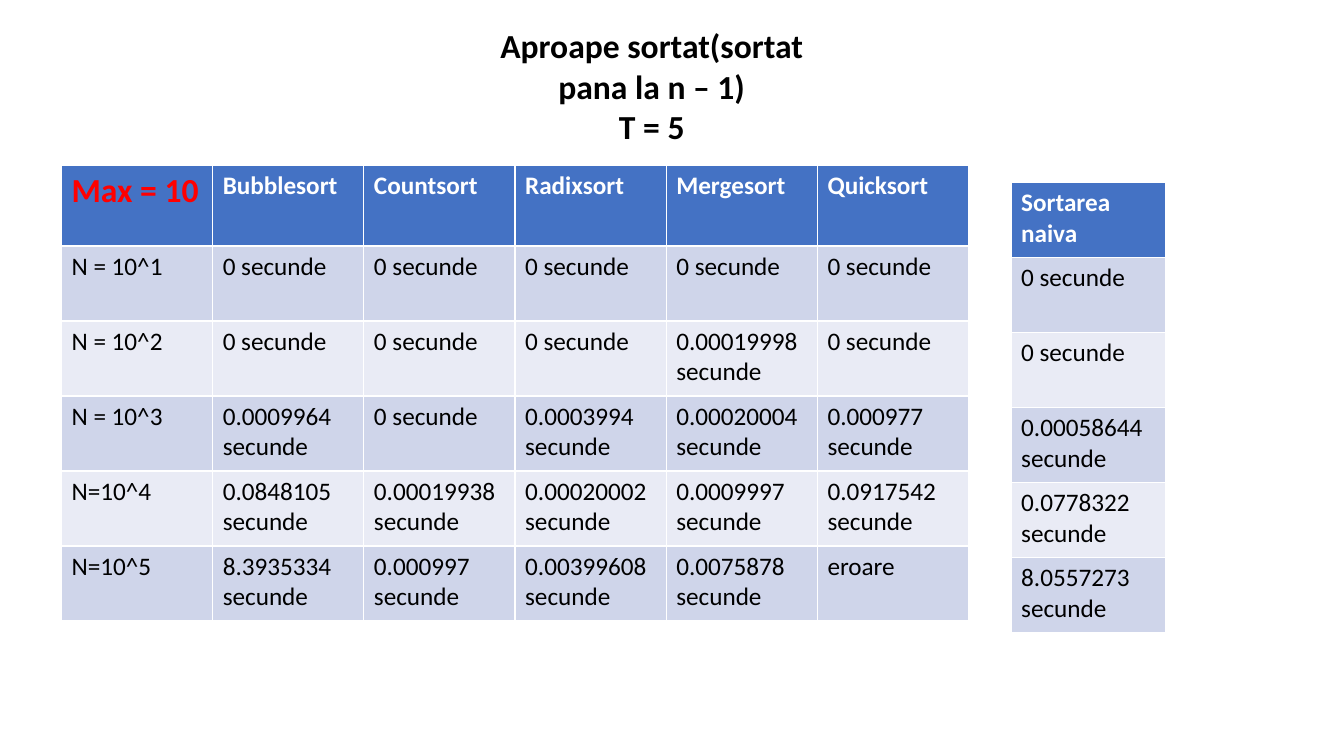
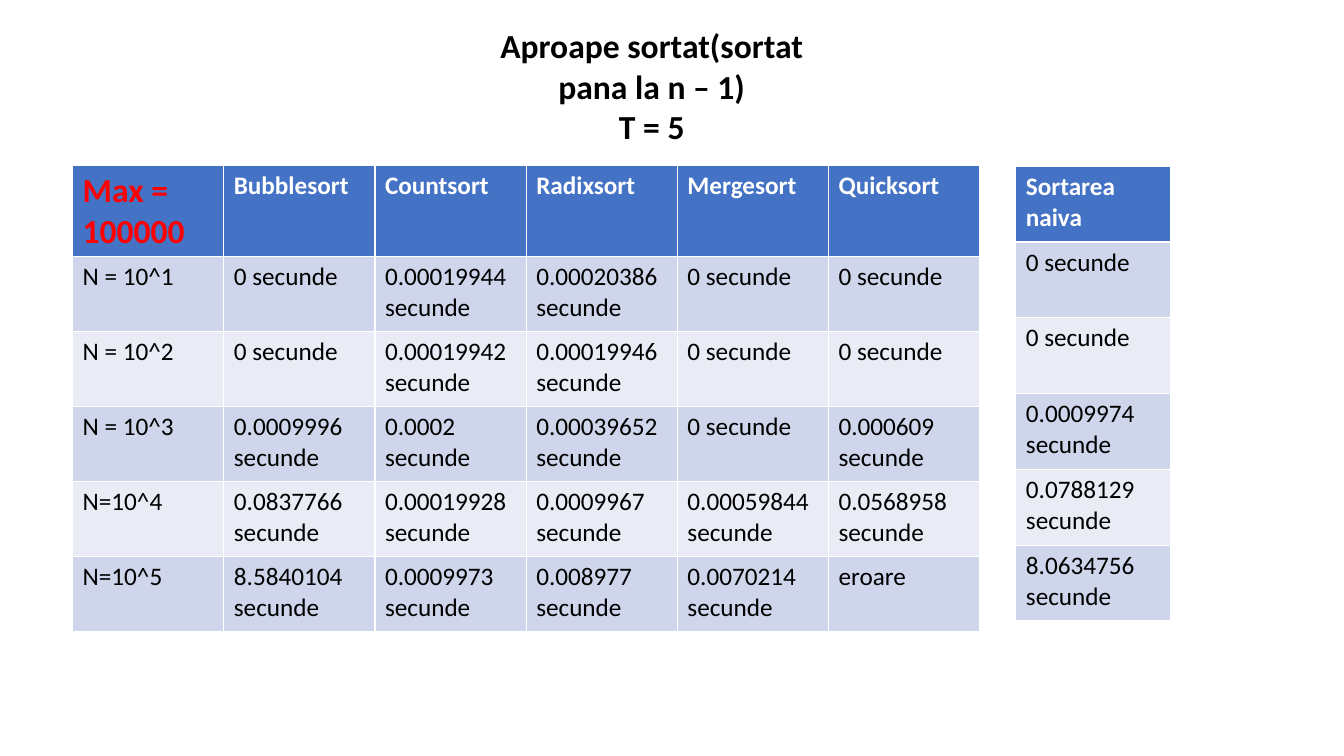
"""Build two slides comparing the running times of sorting algorithms."""
from pptx import Presentation
from pptx.dml.color import RGBColor
from pptx.enum.text import MSO_AUTO_SIZE, PP_ALIGN
from pptx.util import Cm, Pt

CENTER = PP_ALIGN.CENTER
GROW = MSO_AUTO_SIZE.SHAPE_TO_FIT_TEXT
FONT = "Calibri"
BLACK, WHITE, RED = "000000", "FFFFFF", "FF0000"
HEADER_FILL = "4472C4"
BAND_FILLS = ("CFD5EA", "E9EBF5")
TITLE = "Aproape sortat(sortat pana la n – 1)\nT = 5"
ALGORITHMS = ["Bubblesort", "Countsort", "Radixsort", "Mergesort", "Quicksort"]
SIZES = ["N = 10^1", "N = 10^2", "N = 10^3", "N=10^4", "N=10^5"]

SLIDES = [
    {
        "max": "Max = 10",
        "main": {"left": 1.55, "top": 4.17, "header_h": 2.03, "row_h": 1.89},
        "naive": {"left": 25.48, "top": 4.6, "header_h": 1.89, "row_h": 1.89},
        "times": [
            ["0", "0", "0", "0", "0"],
            ["0", "0", "0", "0.00019998", "0"],
            ["0.0009964", "0", "0.0003994", "0.00020004", "0.000977"],
            ["0.0848105", "0.00019938", "0.00020002", "0.0009997", "0.0917542"],
            ["8.3935334", "0.000997", "0.00399608", "0.0075878", "eroare"],
        ],
        "naive_times": ["0", "0", "0.00058644", "0.0778322", "8.0557273"],
    },
    {
        "max": "Max = 100000",
        "main": {"left": 1.83, "top": 4.17, "header_h": 2.26, "row_h": 1.89},
        "naive": {"left": 25.6, "top": 4.19, "header_h": 1.91, "row_h": 1.91},
        "times": [
            ["0", "0.00019944", "0.00020386", "0", "0"],
            ["0", "0.00019942", "0.00019946", "0", "0"],
            ["0.0009996", "0.0002", "0.00039652", "0", "0.000609"],
            ["0.0837766", "0.00019928", "0.0009967", "0.00059844", "0.0568958"],
            ["8.5840104", "0.0009973", "0.008977", "0.0070214", "eroare"],
        ],
        "naive_times": ["0", "0", "0.0009974", "0.0788129", "8.0634756"],
    },
]


def rgb(color):
    """Turn a hex string into a colour."""
    return RGBColor.from_string(color)


def seconds(value):
    """Add the unit to a time, leaving an error as it is."""
    return value if value == "eroare" else f"{value} secunde"


def format_text(tf, size, color, bold):
    """Set the font of every run in a text frame."""
    for p in tf.paragraphs:
        for r in p.runs:
            r.font.name = FONT
            r.font.size = Pt(size)
            r.font.bold = bold
            r.font.color.rgb = rgb(color)


def add_title(s):
    """Add the centred title."""
    tf = s.shapes.add_textbox(Cm(11.66), Cm(0.51), Cm(9.53), Cm(3.33)).text_frame
    tf.word_wrap = True
    tf.auto_size = GROW
    tf.text = TITLE
    for p in tf.paragraphs:
        p.alignment = CENTER
    format_text(tf, 24, BLACK, True)


def add_times_table(s, rows, col_w, left, top, header_h, row_h):
    """Add a banded table with a header row and return it."""
    n_rows, n_cols = len(rows), len(rows[0])
    height = header_h + (n_rows - 1) * row_h
    table = s.shapes.add_table(n_rows, n_cols, Cm(left), Cm(top),
                               Cm(n_cols * col_w), Cm(height)).table
    for i, values in enumerate(rows):
        is_header = i == 0
        table.rows[i].height = Cm(header_h if is_header else row_h)
        fill = HEADER_FILL if is_header else BAND_FILLS[(i - 1) % 2]
        for j, value in enumerate(values):
            cell = table.cell(i, j)
            cell.fill.solid()
            cell.fill.fore_color.rgb = rgb(fill)
            cell.text_frame.text = value
            format_text(cell.text_frame, 18, WHITE if is_header else BLACK, is_header)
    return table


def add_times_slide(prs, data):
    """Add a slide with the main table and the naive sort table."""
    s = prs.slides.add_slide(prs.slide_layouts[6])
    add_title(s)
    rows = [[data["max"], *ALGORITHMS]]
    rows += [[n, *map(seconds, times)] for n, times in zip(SIZES, data["times"])]
    table = add_times_table(s, rows, 3.81, **data["main"])
    format_text(table.cell(0, 0).text_frame, 24, RED, True)
    naive_rows = [["Sortarea naiva"]] + [[seconds(t)] for t in data["naive_times"]]
    add_times_table(s, naive_rows, 3.89, **data["naive"])


def main():
    """Build and save the presentation."""
    prs = Presentation()
    prs.slide_width, prs.slide_height = Cm(33.87), Cm(19.05)
    for data in SLIDES:
        add_times_slide(prs, data)
    prs.save("out.pptx")


if __name__ == "__main__":
    main()
